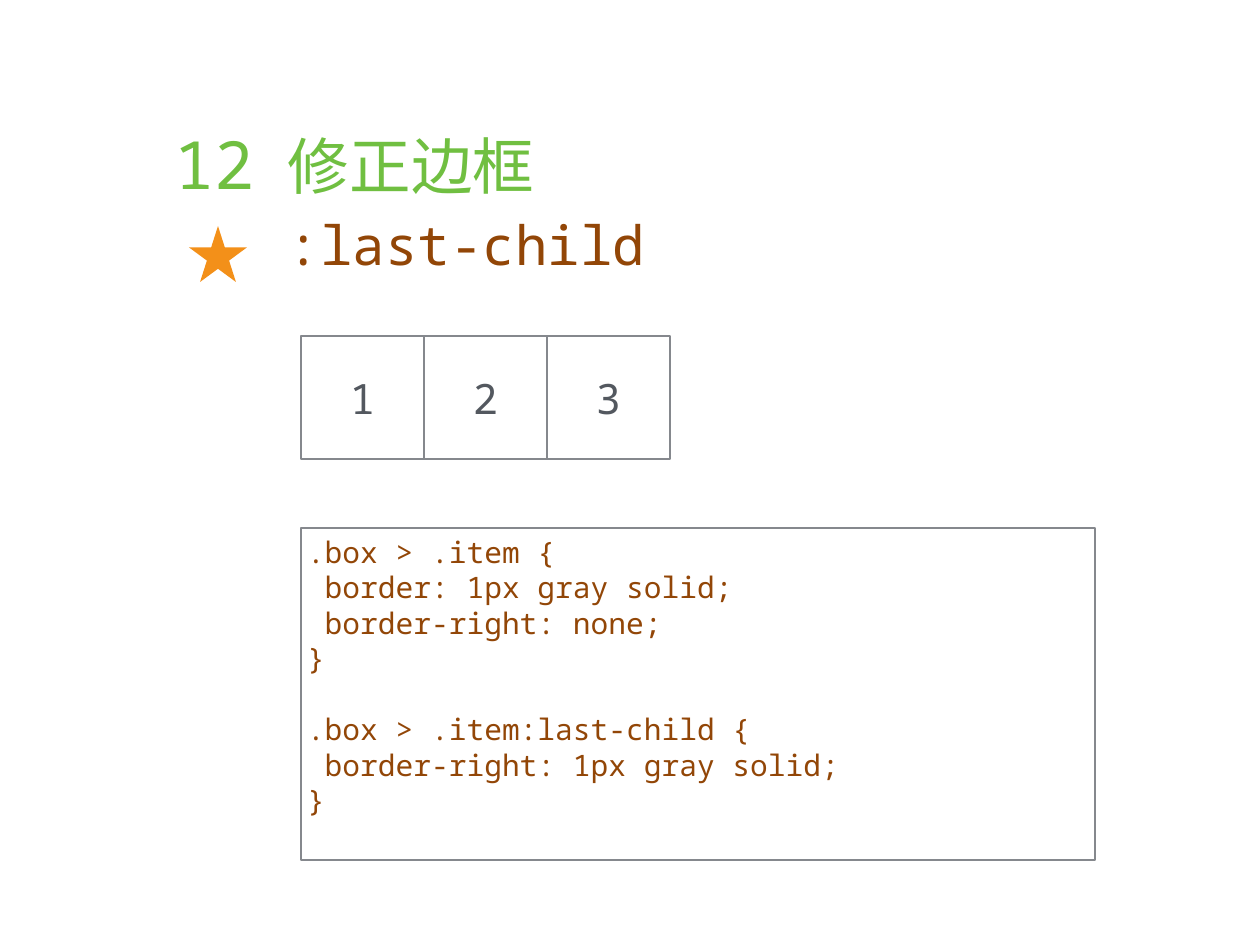
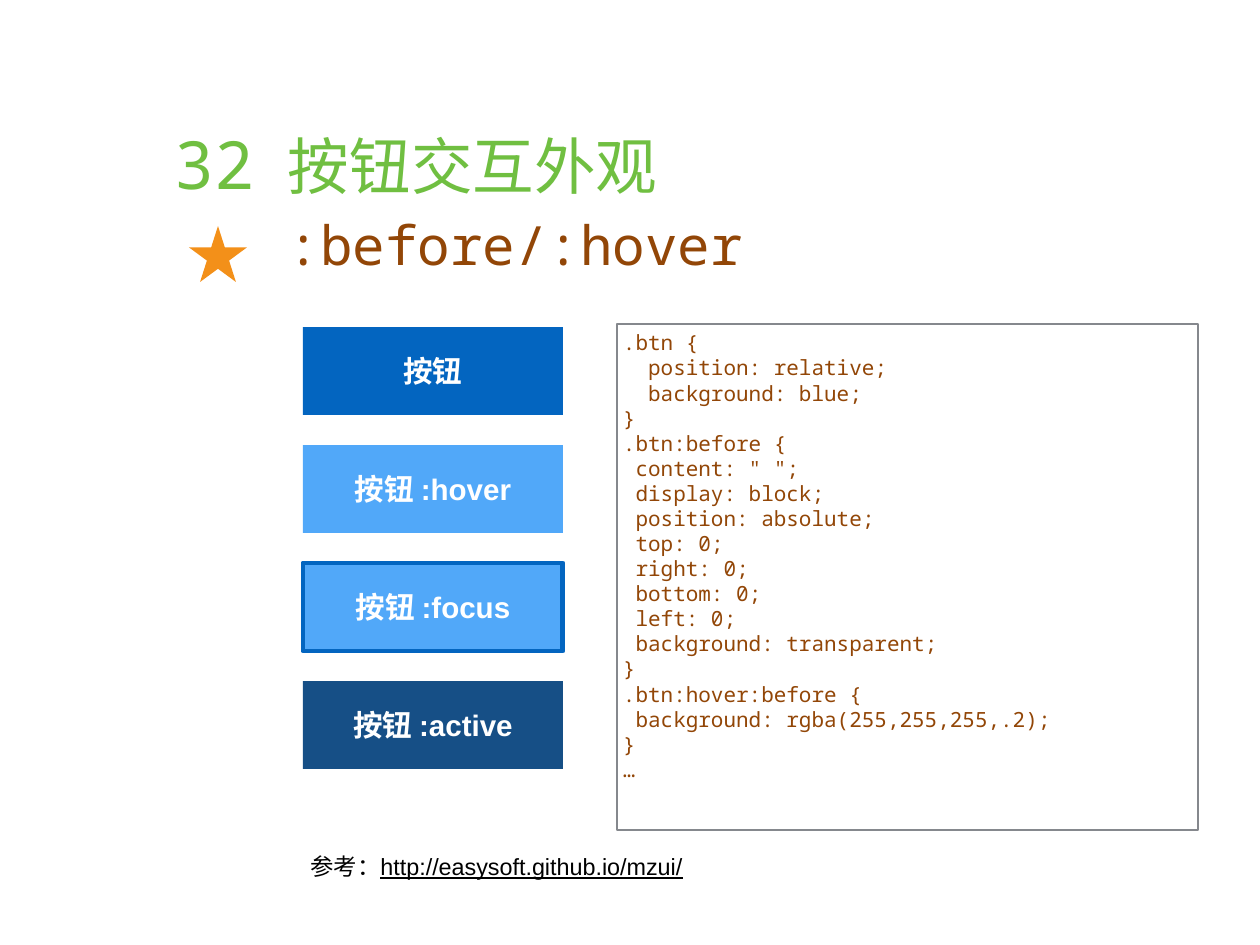
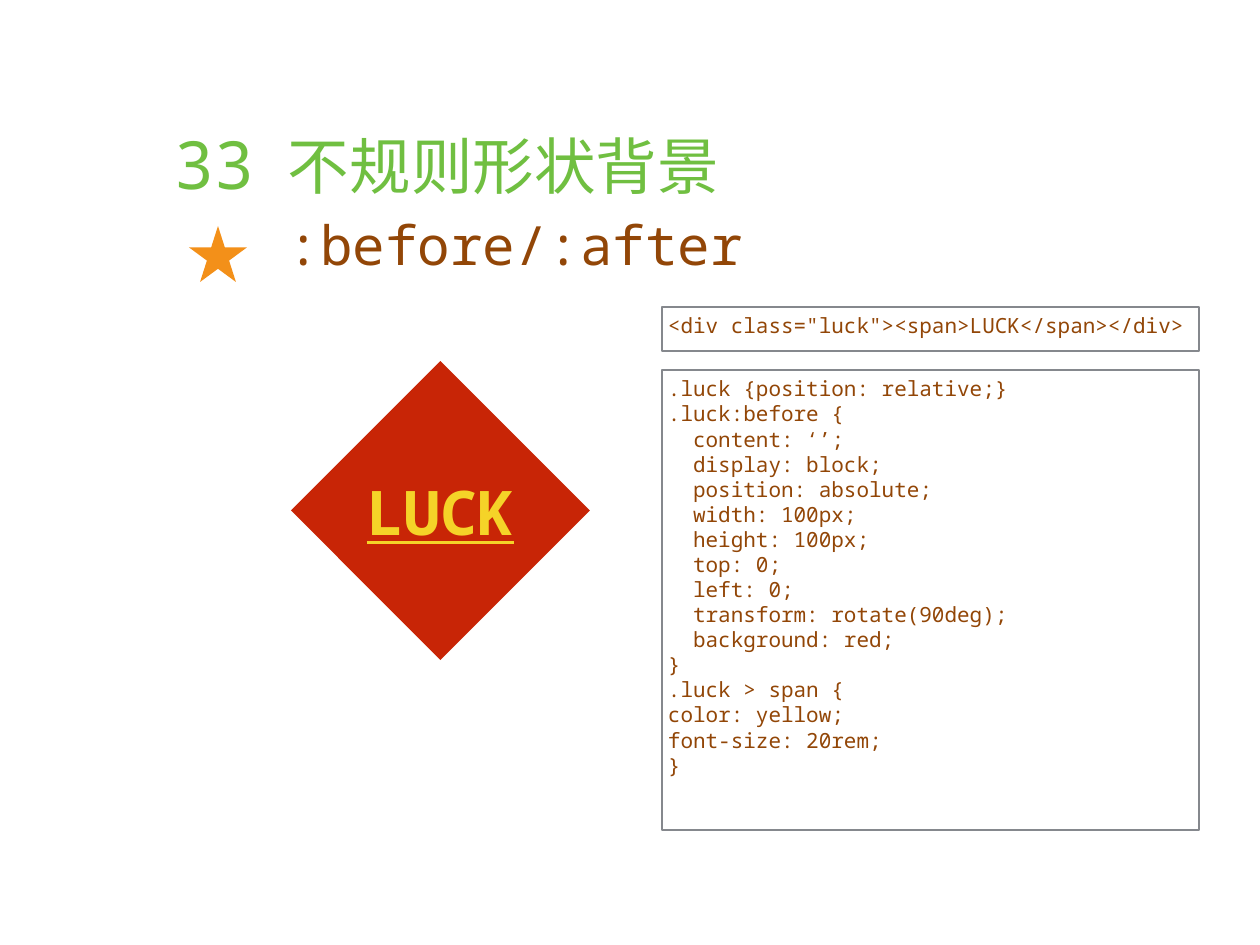
from lxml.etree import SubElement
from pptx import Presentation
from pptx.dml.color import RGBColor
from pptx.enum.shapes import MSO_SHAPE
from pptx.enum.text import MSO_ANCHOR, PP_ALIGN
from pptx.oxml.ns import qn
from pptx.util import Emu, Pt

EMU_PER_PX = 10320
SLIDE_SIZE = (1260, 945)
HEADING_BOX = (114, 114, 1032, 716)
NUMBER_WIDTH = 157
INSET = 6
LINE_HEIGHT = 1.2

MONO = "Noto Sans Mono"
CHINESE = "Noto Sans CJK SC"
SANS = "Arial"

COLORS = {
    "title": "70BF41",
    "code": "924607",
    "star": "F39019",
    "frame": "85888D",
    "digit": "53585F",
    "button": "0365C0",
    "button_light": "51A8F9",
    "button_dark": "164F86",
    "diamond": "C82506",
    "luck": "F5D328",
    "white": "FFFFFF",
    "black": "000000",
}

BORDER_CODE = """.box > .item {
 border: 1px gray solid;
 border-right: none;
}

.box > .item:last-child {
 border-right: 1px gray solid;
}"""

BUTTON_CODE = """.btn {
  position: relative;
  background: blue;
}
.btn:before {
 content: " ";
 display: block;
 position: absolute;
 top: 0;
 right: 0;
 bottom: 0;
 left: 0;
 background: transparent;
}
.btn:hover:before {
 background: rgba(255,255,255,.2);
}
…"""

LUCK_MARKUP = '<div class="luck"><span>LUCK</span></div>'

LUCK_CODE = """.luck {position: relative;}
.luck:before {
  content: ‘’;
  display: block;
  position: absolute;
  width: 100px;
  height: 100px;
  top: 0;
  left: 0;
  transform: rotate(90deg);
  background: red;
}
.luck > span {
color: yellow;
font-size: 20rem;
}"""

BUTTONS = [
    ("按钮", "button", None),
    ("按钮 :hover", "button_light", None),
    ("按钮 :focus", "button_light", "button"),
    ("按钮 :active", "button_dark", None),
]


def px(length):
    return Emu(length * EMU_PER_PX)


def color(name):
    return RGBColor.from_string(COLORS[name])


def add_text(paragraph, text, *, size, color_name, font=MONO, bold=False,
             underline=False, align=PP_ALIGN.LEFT):
    paragraph.alignment = align
    run = paragraph.add_run()
    run.text = text
    run.font.size = Pt(size)
    run.font.name = font
    run.font.bold = bold
    run.font.underline = underline
    run.font.color.rgb = color(color_name)
    east_asian = SubElement(run.font._element, qn("a:ea"))
    east_asian.set("typeface", MONO if font == MONO else CHINESE)


def set_insets(target, horizontal, vertical):
    target.margin_left = target.margin_right = px(horizontal)
    target.margin_top = target.margin_bottom = px(vertical)


def add_box(slide, box, *, kind=MSO_SHAPE.RECTANGLE, fill=None, line=None,
            line_width=2, anchor=MSO_ANCHOR.MIDDLE, wrap=True):
    shape = slide.shapes.add_shape(kind, *map(px, box))
    shape.shadow.inherit = False
    if fill:
        shape.fill.solid()
        shape.fill.fore_color.rgb = color(fill)
    else:
        shape.fill.background()
    if line:
        shape.line.color.rgb = color(line)
        shape.line.width = Pt(line_width)
    else:
        shape.line.fill.background()
    frame = shape.text_frame
    frame.word_wrap = wrap
    frame.vertical_anchor = anchor
    set_insets(frame, INSET, INSET)
    return shape


def add_code(slide, box, code, size):
    """Framed code; an empty line becomes space before the next line."""
    frame = add_box(slide, box, line="frame", anchor=MSO_ANCHOR.TOP).text_frame
    line_height = Pt(size * LINE_HEIGHT)
    paragraph = frame.paragraphs[0]
    after_gap = False
    for index, text in enumerate(code.split("\n")):
        if not text:
            after_gap = True
            continue
        if index:
            paragraph = frame.add_paragraph()
        paragraph.line_spacing = line_height
        if after_gap:
            paragraph.space_before = line_height
        add_text(paragraph, text, size=size, color_name="code")
        after_gap = False


def add_heading(slide, box, number, title, selector):
    left, top, width, height = box
    table = slide.shapes.add_table(1, 2, *map(px, box)).table
    table.first_row = table.horz_banding = False
    table.columns[0].width = px(NUMBER_WIDTH)
    table.columns[1].width = px(width - NUMBER_WIDTH)
    for cell in table.iter_cells():
        cell.fill.background()
        set_insets(cell, 17, 4)
    number_frame, title_frame = (cell.text_frame for cell in table.iter_cells())
    add_text(number_frame.paragraphs[0], number, size=54, color_name="title",
             align=PP_ALIGN.RIGHT)
    add_text(title_frame.paragraphs[0], title, size=50, color_name="title",
             font=CHINESE)
    add_text(title_frame.add_paragraph(), selector, size=44, color_name="code")
    add_box(slide, (left + 75, top + 112, 58, 56), kind=MSO_SHAPE.STAR_5_POINT,
            fill="star")


def add_squares(slide, box, labels):
    left, top, width, height = box
    side = width // len(labels)
    for index, label in enumerate(labels):
        square = add_box(slide, (left + index * side, top, side, height),
                         line="frame")
        add_text(square.text_frame.paragraphs[0], label, size=34,
                 color_name="digit", align=PP_ALIGN.CENTER)


def add_buttons(slide, box, buttons, gap=30):
    left, top, width, height = box
    button_height = (height - gap * (len(buttons) - 1)) // len(buttons)
    for index, (label, fill, line) in enumerate(buttons):
        button_top = top + index * (button_height + gap)
        button = add_box(slide, (left, button_top, width, button_height),
                         fill=fill, line=line, line_width=4)
        add_text(button.text_frame.paragraphs[0], label, size=24, font=SANS,
                 color_name="white", bold=True, align=PP_ALIGN.CENTER)


def add_reference(slide, box, label, address):
    frame = slide.shapes.add_textbox(*map(px, box)).text_frame
    frame.word_wrap = False
    frame.vertical_anchor = MSO_ANCHOR.MIDDLE
    set_insets(frame, INSET, INSET)
    for text, underline in ((label, False), (address, True)):
        add_text(frame.paragraphs[0], text, size=19, font=SANS,
                 color_name="black", underline=underline,
                 align=PP_ALIGN.CENTER)


def add_luck_diamond(slide, box):
    diamond = add_box(slide, box, kind=MSO_SHAPE.DIAMOND, fill="diamond",
                      wrap=False)
    add_text(diamond.text_frame.paragraphs[0], "LUCK", size=50,
             color_name="luck", bold=True, underline=True,
             align=PP_ALIGN.CENTER)


def add_topic_slide(presentation, number, title, selector):
    slide = presentation.slides.add_slide(presentation.slide_layouts[6])
    add_heading(slide, HEADING_BOX, number, title, selector)
    return slide


def build_border_slide(presentation):
    slide = add_topic_slide(presentation, "12", "修正边框", ":last-child")
    add_squares(slide, (301, 336, 369, 123), ["1", "2", "3"])
    add_code(slide, (301, 528, 794, 332), BORDER_CODE, 24)


def build_button_slide(presentation):
    slide = add_topic_slide(presentation, "32", "按钮交互外观", ":before/:hover")
    add_buttons(slide, (303, 327, 260, 442), BUTTONS)
    add_code(slide, (617, 324, 581, 506), BUTTON_CODE, 17)
    add_reference(slide, (286, 847, 421, 38), "参考：",
                  "http://easysoft.github.io/mzui/")


def build_background_slide(presentation):
    slide = add_topic_slide(presentation, "33", "不规则形状背景", ":before/:after")
    add_luck_diamond(slide, (291, 361, 299, 299))
    add_code(slide, (662, 307, 537, 44), LUCK_MARKUP, 17)
    add_code(slide, (662, 370, 537, 460), LUCK_CODE, 17)


def main():
    presentation = Presentation()
    presentation.slide_width, presentation.slide_height = map(px, SLIDE_SIZE)
    build_border_slide(presentation)
    build_button_slide(presentation)
    build_background_slide(presentation)
    presentation.save("out.pptx")


if __name__ == "__main__":
    main()
